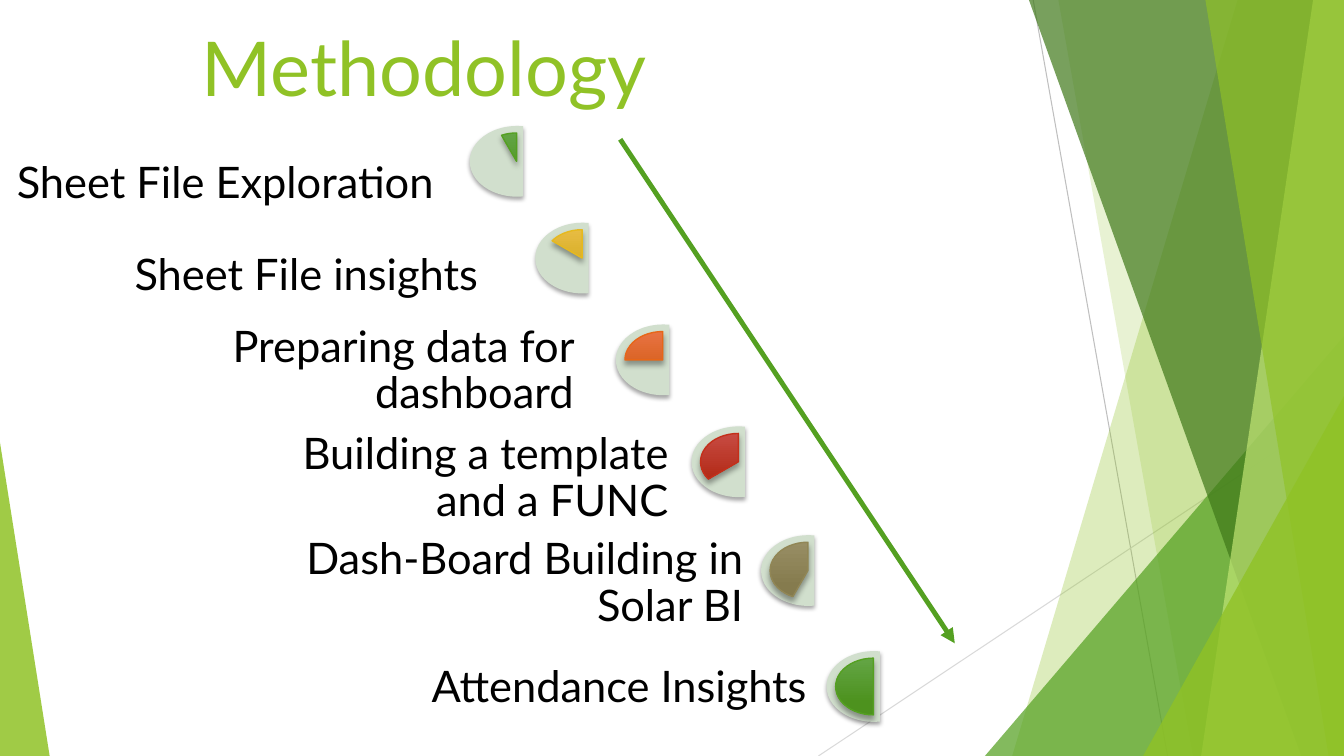
from dataclasses import dataclass

from lxml.etree import SubElement
from pptx import Presentation
from pptx.dml.color import RGBColor
from pptx.enum.shapes import MSO_CONNECTOR, MSO_SHAPE as SHAPE
from pptx.enum.text import MSO_ANCHOR as ANCHOR, PP_ALIGN as ALIGN
from pptx.oxml.ns import qn
from pptx.util import Pt


@dataclass(frozen=True)
class Theme:
    """Fonts, type sizes and colours of the slide."""
    font: str = "Lato"
    title_size: int = 54
    step_size: int = 31
    lime: str = "90C226"
    green: str = "54A021"
    forest: str = "3F7819"
    pale_lime: str = "C0E474"
    sage: str = "D1DFCD"
    black: str = "000000"
    mid_gray: str = "BFBFBF"
    light_gray: str = "D9D9D9"


THEME = Theme()
WIDTH, HEIGHT = 960, 540
GREEN_DIAL = ("63A545", "4D921E", THEME.green)
STEPS = [
    ("Sheet File Exploration", (-6.5, 82.8), (335.5, 90), GREEN_DIAL),
    ("Sheet File insights", (25.2, 149), (382.3, 159.1), ("E7BC43", "D2A91B", "E6B91E")),
    ("Preparing data for dashboard", (93.6, 233.3), (439.9, 231.8), ("E87242", "D35D16", "E76618")),
    ("Building a template and a FUNC", (161.3, 310.3), (493.9, 304.6), ("C74B42", "B32B18", "C42F1A")),
    ("Dash-Board Building in Solar BI", (214.6, 385.2), (543.6, 382.3), ("988E64", "857B4E", "918655")),
    ("Attendance Insights", (260, 442.8), (590.4, 465.1), GREEN_DIAL),
]


def rgb(value):
    """Turn a hex string into a colour."""
    return RGBColor.from_string(value)


def paint(s, color, alpha=100):
    """Give a shape a flat fill with some opacity, no line and no shadow."""
    s.shadow.inherit = False
    s.line.fill.background()
    s.fill.solid()
    s.fill.fore_color.rgb = rgb(color)
    if alpha < 100:
        clr = s._element.spPr.find(qn("a:solidFill")).find(qn("a:srgbClr"))
        SubElement(clr, qn("a:alpha"), val=str(alpha * 1000))


def add_shadow(s, blur, dist):
    """Drop a soft shadow straight below a shape."""
    s.shadow.inherit = False
    effects = s._element.spPr.find(qn("a:effectLst"))
    shadow = SubElement(effects, qn("a:outerShdw"), blurRad=str(Pt(blur)),
                        dist=str(Pt(dist)), dir="5400000", rotWithShape="0")
    clr = SubElement(shadow, qn("a:srgbClr"), val=THEME.black)
    SubElement(clr, qn("a:alpha"), val="35000")


def add_preset(slide, kind, box, adjustments):
    """Add a preset shape with its adjustments."""
    s = slide.shapes.add_shape(kind, *map(Pt, box))
    for i, value in enumerate(adjustments):
        s.adjustments[i] = value
    return s


def add_triangle(slide, box, apex, color, alpha):
    """Add a right triangle whose apex is at the left (0) or right (1)."""
    s = add_preset(slide, SHAPE.ISOSCELES_TRIANGLE, box, [apex])
    paint(s, color, alpha)


def add_band(slide, top, bottom, color, alpha):
    """Add a full-height band from a slanted left edge to the slide's right edge."""
    builder = slide.shapes.build_freeform(Pt(top), 0)
    corners = [(WIDTH, 0), (WIDTH, HEIGHT), (bottom, HEIGHT)]
    builder.add_line_segments([(Pt(x), Pt(y)) for x, y in corners], close=True)
    paint(builder.convert_to_shape(), color, alpha)


def add_line(slide, start, end, color, width, arrow=False):
    """Add a straight line, with an arrowhead at its end if wanted."""
    s = slide.shapes.add_connector(MSO_CONNECTOR.STRAIGHT, *map(Pt, start + end))
    s.line.color.rgb = rgb(color)
    s.line.width = Pt(width)
    SubElement(s._element.spPr, qn("a:effectLst"))
    if arrow:
        SubElement(s.line._get_or_add_ln(), qn("a:tailEnd"), type="triangle")


def add_text(slide, text, box, size, color, align=ALIGN.LEFT, spacing=1.0, insets=(7.2, 3.6)):
    """Add a wrapped, bottom-anchored text box."""
    tf = slide.shapes.add_textbox(*map(Pt, box)).text_frame
    tf.word_wrap = True
    tf.vertical_anchor = ANCHOR.BOTTOM
    tf.margin_left = tf.margin_right = Pt(insets[0])
    tf.margin_top = tf.margin_bottom = Pt(insets[1])
    p = tf.paragraphs[0]
    p.alignment = align
    p.line_spacing = spacing
    r = p.add_run()
    r.text = text
    r.font.name = THEME.font
    r.font.size = Pt(size)
    r.font.color.rgb = rgb(color)


def add_dial(slide, left, top, start, colors):
    """Add a half dial filled from a start angle up to twelve o'clock."""
    back = add_preset(slide, SHAPE.CHORD, (left, top, 67.5, 50.5), (48, 168))
    paint(back, THEME.sage)
    add_shadow(back, 3, 2)
    pie = add_preset(slide, SHAPE.PIE, (left + 6.5, top + 5, 54, 40.5), (start, 162))
    pie.fill.gradient()
    pie.fill.gradient_angle = 270
    for stop, color, position in zip(pie.fill.gradient_stops, colors, (0, 0.78)):
        stop.color.rgb = rgb(color)
        stop.position = position
    pie.line.color.rgb = rgb(colors[2])
    pie.line.width = Pt(1)
    add_shadow(pie, 4, 3)


def add_backdrop(slide):
    """Draw the overlapping green facets at the slide's edges."""
    add_line(slide, (738, 0), (834, HEIGHT), THEME.mid_gray, 0.75)
    add_line(slide, (WIDTH, 290), (584.6, HEIGHT), THEME.light_gray, 0.75)
    add_band(slide, 884, 723, THEME.lime, 30)
    add_band(slide, 756, 852, THEME.lime, 20)
    add_triangle(slide, (703.5, 240, 256.5, 300), 1, THEME.green, 72)
    add_band(slide, 735, 929.5, THEME.forest, 70)
    add_band(slide, 938, 858, THEME.pale_lime, 70)
    add_band(slide, 861, 949, THEME.lime, 65)
    add_triangle(slide, (816.5, 283, 143.5, 257), 1, THEME.lime, 80)
    add_triangle(slide, (0, 316, 35.5, 224), 0, THEME.lime, 85)


def main():
    """Build the methodology slide."""
    prs = Presentation()
    prs.slide_width, prs.slide_height = Pt(WIDTH), Pt(HEIGHT)
    slide = prs.slides.add_slide(prs.slide_layouts[6])
    add_backdrop(slide)
    add_text(slide, "Methodology", (137, 6, 340.5, 77), THEME.title_size, THEME.lime)
    for i, (label, label_at, dial_at, colors) in enumerate(STEPS):
        add_dial(slide, *dial_at, 144 - 18 * i, colors)
        add_text(slide, label, (*label_at, 316, 65.5), THEME.step_size, THEME.black,
                 align=ALIGN.RIGHT, spacing=0.9, insets=(0, 0))
    add_line(slide, (443, 99.5), (682, 459.5), THEME.green, 3.5, arrow=True)
    prs.save("out.pptx")


if __name__ == "__main__":
    main()
